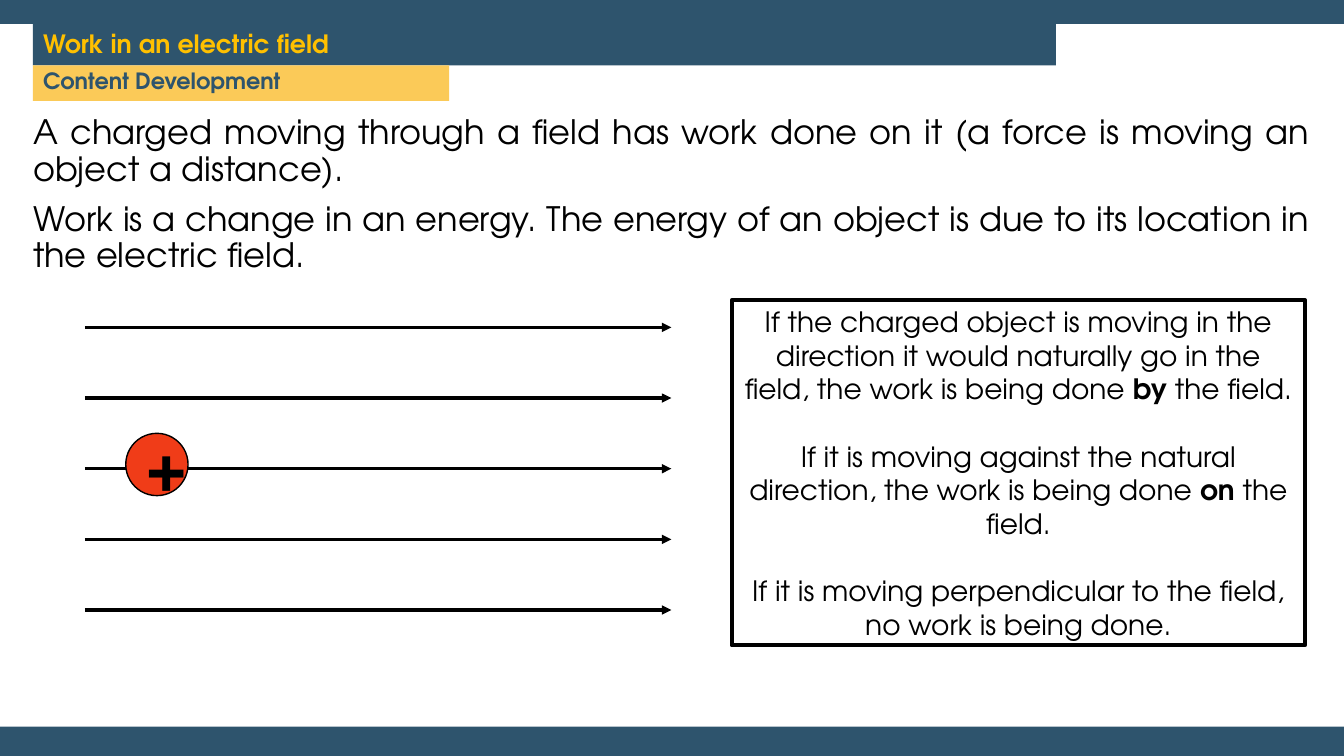
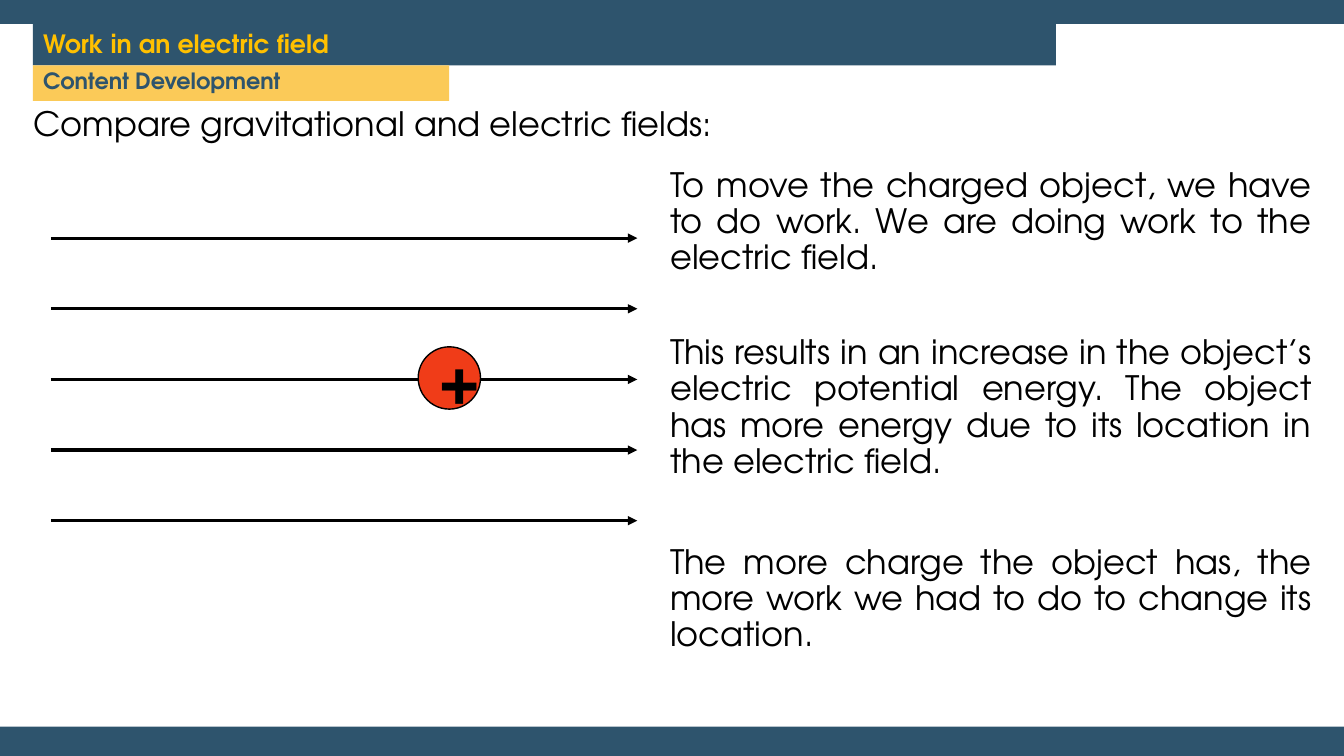
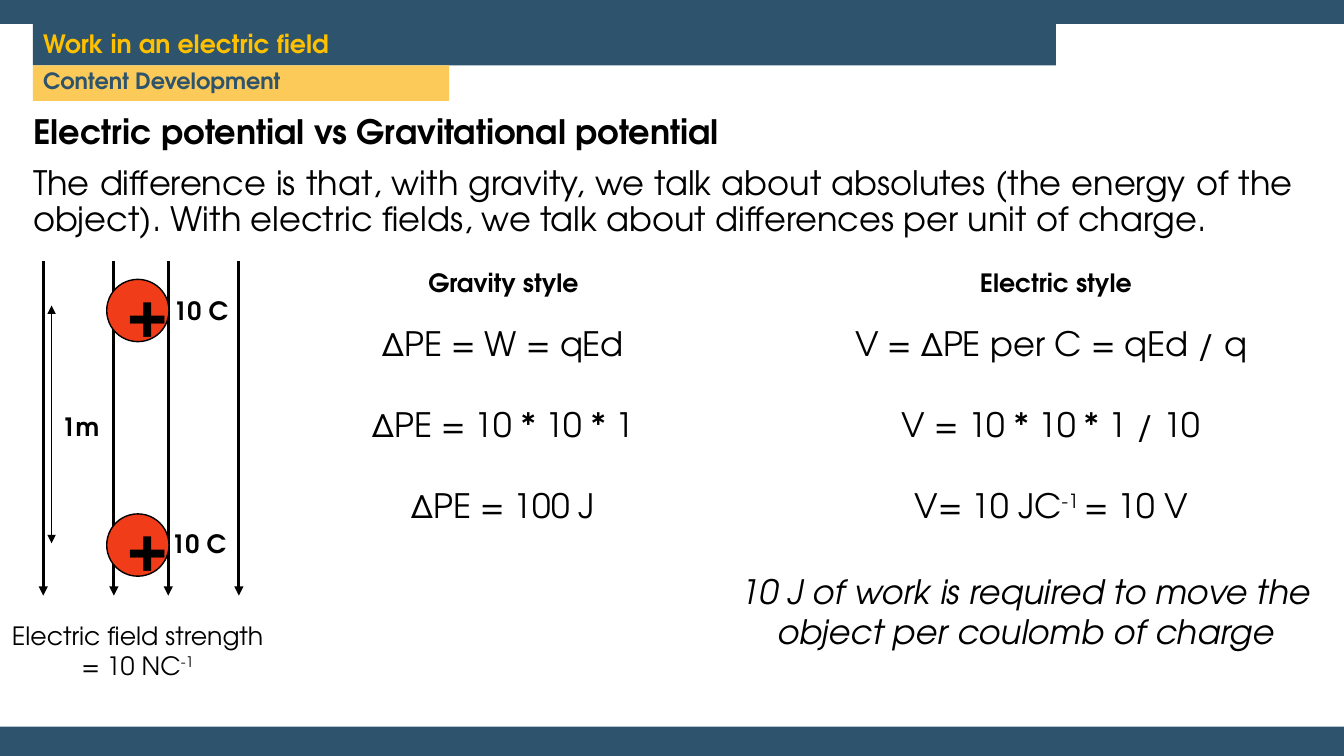
from lxml import etree
from pptx import Presentation
from pptx.dml.color import RGBColor
from pptx.enum import shapes, text
from pptx.oxml.ns import qn
from pptx.util import Cm, Pt

NAVY = RGBColor(0x2E, 0x54, 0x6D)
WHITE = RGBColor(0xFF, 0xFF, 0xFF)
GOLD = RGBColor(0xFF, 0xC0, 0x00)
SAND = RGBColor(0xFB, 0xCA, 0x58)
RED = RGBColor(0xF0, 0x3C, 0x18)
BLACK = RGBColor(0, 0, 0)
FACE = "TeX Gyre Adventor"
WIDE, HIGH = 33.87, 19.05
LEFT, MID, JUST = text.PP_ALIGN.LEFT, text.PP_ALIGN.CENTER, text.PP_ALIGN.JUSTIFY
TOP, HALF = text.MSO_ANCHOR.TOP, text.MSO_ANCHOR.MIDDLE
RECT, OVAL = shapes.MSO_SHAPE.RECTANGLE, shapes.MSO_SHAPE.OVAL
BOLD = {"bold": True}
SUPER = {"base": 30000}


def put(item, values):
    for name, value in values.items():
        setattr(item, name, value)


class Deck:
    def __init__(self):
        self.file = Presentation()
        put(self.file, {"slide_width": Cm(WIDE), "slide_height": Cm(HIGH)})
        self.base = self.file.slide_layouts[3]
        self.slide = None

    def bands(self):
        tree = self.base.shapes._spTree
        parts = ((NAVY, (0, 0, WIDE, HIGH)), (WHITE, (0, 0.61, WIDE, 17.7)))
        for spot, (fill, at) in enumerate(parts, 2):
            tree.insert(spot, self.shape(RECT, at, fill)._element)

    def page(self, paras, at, gaps=(10,)):
        first = self.slide is None
        self.slide = self.file.slides.add_slide(self.base)
        if first:
            self.bands()
        title, sub, body = self.slide.placeholders
        self.hold(title, (0.83, 0.61, 25.78, 1.04), NAVY)
        self.words(title, ["Work in an electric field"], 18, LEFT, HALF,
                   line=0.9, bold=True, color=GOLD)
        self.hold(sub, (0.83, 1.65, 10.49, 0.89), SAND)
        self.words(sub, ["Content Development"], 16, LEFT, TOP,
                   line=0.9, bold=True, color=NAVY)
        self.hold(body, at)
        self.words(body, paras, 24, JUST, TOP, gaps, 0.9)

    def hold(self, item, at, fill=None):
        put(item, dict(zip(("left", "top", "width", "height"), map(Cm, at))))
        if fill is not None:
            item.fill.solid()
            item.fill.fore_color.rgb = fill

    def words(self, item, paras, size, align=MID, anchor=HALF, gaps=(),
              line=1.0, color=BLACK, **style):
        frame = item.text_frame
        put(frame, {"word_wrap": True, "vertical_anchor": anchor,
                    "auto_size": text.MSO_AUTO_SIZE.NONE})
        for spot, (runs, gap) in enumerate(zip(paras, (0, *gaps))):
            para = frame.add_paragraph() if spot else frame.paragraphs[0]
            if item.is_placeholder:
                prop = para._p.get_or_add_pPr()
                for name in ("marL", "indent"):
                    prop.set(name, "0")
                etree.SubElement(prop, qn("a:buNone"))
            put(para, {"alignment": align, "line_spacing": line,
                       "space_before": Pt(gap)})
            for part in [runs] if isinstance(runs, str) else runs:
                chars, extra = (part, {}) if isinstance(part, str) else part
                look = {"name": FACE, "size": Pt(size), "bold": False,
                        **style, **extra}
                lift = look.pop("base", 0)
                run = para.add_run()
                run.text = chars
                put(run.font, look)
                run.font.color.rgb = color
                if lift:
                    run._r.get_or_add_rPr().set("baseline", str(lift))

    def label(self, at, paras, size, **style):
        box = self.slide.shapes.add_textbox(*map(Cm, at))
        self.words(box, paras, size, **style)

    def shape(self, kind, at, fill, width=0):
        item = self.slide.shapes.add_shape(kind, *map(Cm, at))
        item.shadow.inherit = False
        item.fill.solid()
        item.fill.fore_color.rgb = fill
        if width:
            item.line.color.rgb = BLACK
            item.line.width = Pt(width)
        else:
            item.line.fill.background()
        return item

    def panel(self, at, paras, size, gaps):
        self.words(self.shape(RECT, at, WHITE, 3), paras, size, gaps=gaps)

    def charge(self, left, top):
        ball = self.shape(OVAL, (left, top, 1.57, 1.57), RED, 1)
        self.words(ball, ["+"], 44, bold=True)

    def arrow(self, ends, width=2.25, tips=("tailEnd",)):
        link = self.slide.shapes.add_connector(
            shapes.MSO_CONNECTOR.STRAIGHT, *map(Cm, ends))
        link.line.color.rgb = BLACK
        link.line.width = Pt(width)
        prop = link._element.spPr
        for tip in tips:
            etree.SubElement(prop.find(qn("a:ln")), qn("a:" + tip), type="triangle")
        etree.SubElement(prop, qn("a:effectLst"))

    def field(self, left, top):
        for row in range(5):
            y = top + 1.78 * row
            self.arrow((left, y, left + 14.78, y))


def work(deck):
    deck.page([
        "A charged moving through a field has work done on it (a force is moving an object a distance).",
        "Work is a change in an energy. The energy of an object is due to its location in the electric field.",
    ], (0.58, 2.79, 32.66, 2.46))
    deck.field(2.14, 8.25)
    deck.charge(3.17, 10.92)
    deck.panel((18.44, 7.57, 14.45, 8.69), [
        ["If the charged object is moving in the direction it would naturally go in the field, the work is being done ",
         ("by ", BOLD), "the field."],
        ["If it is moving against the natural direction, the work is being done ",
         ("on", BOLD), " the field."],
        "If it is moving perpendicular to the field, no work is being done.",
    ], 20, (24, 24))


def compare(deck):
    deck.page(["Compare gravitational and electric fields:"], (0.58, 2.59, 33.2, 2.46))
    deck.label((16.64, 4.11, 16.66, 12.8), [
        "To move the charged object, we have to do work. We are doing work to the electric field.",
        "This results in an increase in the object’s electric potential energy. The object has more energy due to its location in the electric field.",
        "The more charge the object has, the more work we had to do to change its location.",
    ], 24, align=JUST, anchor=TOP, gaps=(42, 46), line=0.9)
    deck.field(1.28, 6)
    deck.charge(10.54, 8.74)


def volts(deck):
    deck.page([
        [("Electric potential vs Gravitational potential", BOLD)],
        "The difference is that, with gravity, we talk about absolutes (the energy of the object). With electric fields, we talk about differences per unit of charge.",
    ], (0.58, 2.79, 32.26, 2.46))
    for x in (1.09, 2.87, 4.24, 6.02):
        deck.arrow((x, 6.58, x, 15.01))
    deck.arrow((1.3, 7.7, 1.3, 13.69), 0.5, ("headEnd", "tailEnd"))
    for top in (7.04, 12.95):
        deck.charge(2.69, top)
    for left, top, name in ((3.61, 6.81, "10 C"), (3.56, 12.67, "10 C"), (0.58, 9.73, "1m")):
        deck.label((left, top, 2.9, 2.03), [name], 18, bold=True)
    deck.label((0, 15.37, 6.94, 2.03),
               [["Electric field strength = 10 NC", ("-1", SUPER)]], 18)
    sides = (
        ("Gravity style", 7.8, 8.86, 7.65,
         ["ΔPE = W = qEd", "ΔPE = 10 * 10 * 1", "ΔPE = 100 J"]),
        ("Electric style", 21.72, 20.52, 11.94,
         ["V = ΔPE per C = qEd / q", "V = 10 * 10 * 1 / 10",
          ["V= 10 JC", ("-1 ", SUPER), "= 10 V"]]),
    )
    for head, start, left, width, sums in sides:
        deck.label((start, 6.55, 9.78, 1.14), [head], 18, bold=True)
        deck.label((left, 9.68, width, 2.03), sums, 24, gaps=(29, 29))
    deck.label((17.83, 14.38, 16.04, 2.03),
               ["10 J of work is required to move the object per coulomb of charge"],
               24, italic=True)


def main():
    deck = Deck()
    for draw in (work, compare, volts):
        draw(deck)
    deck.file.save("out.pptx")


if __name__ == "__main__":
    main()
